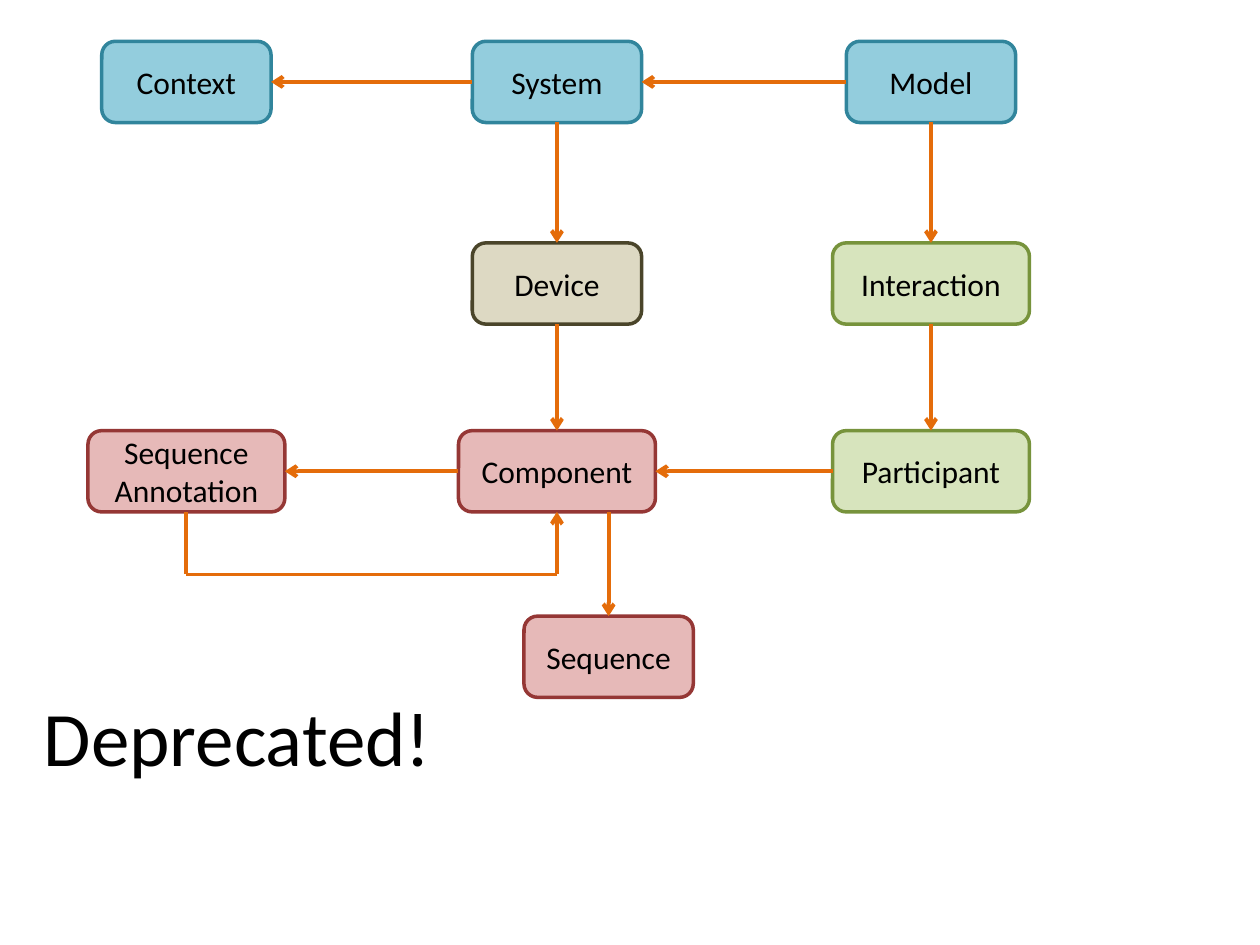
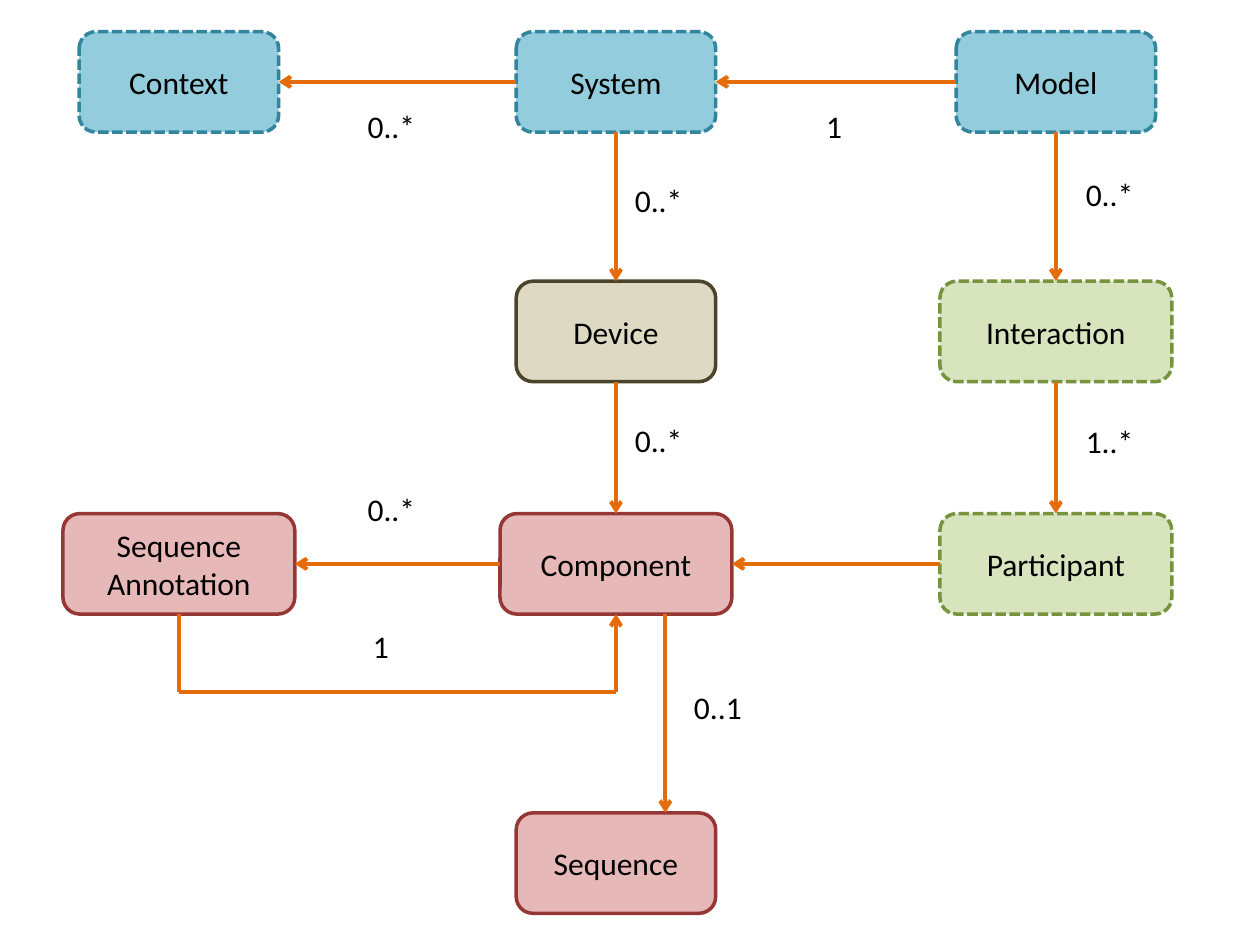
from lxml.etree import SubElement
from pptx import Presentation
from pptx.dml.color import RGBColor
from pptx.enum.dml import MSO_LINE_DASH_STYLE as Dash
from pptx.enum.shapes import MSO_CONNECTOR as Connector, MSO_SHAPE as Shape
from pptx.enum.text import MSO_ANCHOR as Anchor, PP_ALIGN as Align
from pptx.oxml.ns import qn
from pptx.util import Pt

COLORS = {
    "text": "000000", "arrow": "E46C0A",
    "blue": "93CDDD", "blue_edge": "31859C",
    "tan": "DDD9C3", "tan_edge": "4A452A",
    "green": "D7E4BD", "green_edge": "77933C",
    "red": "E6B9B8", "red_edge": "953735",
}

CLASSES = {
    "Context": (0, 0, "blue", "narrow"),
    "System": (1, 0, "blue", "narrow"),
    "Model": (2, 0, "blue", "narrow"),
    "Device": (1, 1, "tan", "narrow"),
    "Interaction": (2, 1, "green", "wide"),
    "Sequence Annotation": (0, 2, "red", "wide"),
    "Component": (1, 2, "red", "wide"),
    "Participant": (2, 2, "green", "wide"),
}

TOP, LEFT, BOTTOM, RIGHT = range(4)
LEFTWARD = (LEFT, RIGHT)
DOWNWARD = (BOTTOM, TOP)

RELATIONS = [
    ("System", "Context", LEFTWARD),
    ("Model", "System", LEFTWARD),
    ("System", "Device", DOWNWARD),
    ("Device", "Component", DOWNWARD),
    ("Model", "Interaction", DOWNWARD),
    ("Interaction", "Participant", DOWNWARD),
    ("Participant", "Component", LEFTWARD),
    ("Component", "Sequence Annotation", LEFTWARD),
]

FIRST_LAYOUT = {
    "columns": (106.5, 318.25, 532), "rows": (46.8, 162, 269.3),
    "narrow": 96.75, "wide": 112.5, "height": 46.4,
    "sequence": (347.8, 375.3), "drop": 347.8, "loop": 328.3, "dashed": (),
}
SECOND_LAYOUT = {
    "columns": (102.25, 352, 603.4), "rows": (46.8, 189.4, 322.2),
    "narrow": 114, "wide": 132.5, "height": 57.4,
    "sequence": (352, 493.2), "drop": 380.2, "loop": 395.3,
    "dashed": ("blue", "green"),
}

MULTIPLICITIES = [
    ("0..*", 203, 57.6), ("1", 465, 57.6),
    ("0..*", 355.7, 100), ("0..*", 613.4, 96.5),
    ("0..*", 355.7, 236.9), ("1..*", 613.4, 237.6),
    ("0..*", 203, 276.5), ("1", 206, 355), ("0..1", 389.5, 389.5),
]


def color(name):
    return RGBColor.from_string(COLORS[name])


def write(frame, text, size=18, align=Align.LEFT):
    para = frame.paragraphs[0]
    para.alignment = align
    span = para.add_run()
    span.text = text
    for key, value in {"name": "Calibri", "size": Pt(size)}.items():
        setattr(span.font, key, value)
    span.font.color.rgb = color("text")


def add_class(page, layout, name, center, tint, width):
    wide, high = layout[width], layout["height"]
    box = page.shapes.add_shape(
        Shape.ROUNDED_RECTANGLE,
        Pt(center[0] - wide / 2), Pt(center[1] - high / 2), Pt(wide), Pt(high))
    box.shadow.inherit = False
    box.fill.solid()
    box.fill.fore_color.rgb = color(tint)
    box.line.color.rgb = color(tint + "_edge")
    box.line.width = Pt(2)
    if tint in layout["dashed"]:
        box.line.dash_style = Dash.SQUARE_DOT
    frame = box.text_frame
    for key, value in {"word_wrap": True, "vertical_anchor": Anchor.MIDDLE}.items():
        setattr(frame, key, value)
    write(frame, name, align=Align.CENTER)
    return box


def add_line(page, start=(0, 0), end=(0, 0), arrow=True):
    line = page.shapes.add_connector(
        Connector.STRAIGHT, *[Pt(value) for value in (*start, *end)])
    line.line.color.rgb = color("arrow")
    line.line.width = Pt(2.25)
    if arrow:
        SubElement(line.line._get_or_add_ln(), qn("a:tailEnd"), type="arrow")
    SubElement(line._element.spPr, qn("a:effectLst"))
    return line


def add_relation(page, source, target, sites):
    line = add_line(page)
    line.begin_connect(source, sites[0])
    line.end_connect(target, sites[1])


def add_label(page, text, left, top, width=50, height=36, size=18):
    box = page.shapes.add_textbox(Pt(left), Pt(top), Pt(width), Pt(height))
    box.text_frame.word_wrap = False
    write(box.text_frame, text, size)


def add_diagram(page, layout):
    columns, rows = layout["columns"], layout["rows"]
    boxes = {
        name: add_class(page, layout, name, (columns[column], rows[row]), tint, width)
        for name, (column, row, tint, width) in CLASSES.items()
    }
    add_class(page, layout, "Sequence", layout["sequence"], "red", "narrow")
    for source, target, sites in RELATIONS:
        add_relation(page, boxes[source], boxes[target], sites)

    half = layout["height"] / 2
    base = rows[2] + half
    corners = [(columns[0], base), (columns[0], layout["loop"]),
               (columns[1], layout["loop"]), (columns[1], base)]
    for index, (start, end) in enumerate(zip(corners, corners[1:])):
        add_line(page, start, end, arrow=index == 2)
    add_line(page, (layout["drop"], base),
             (layout["drop"], layout["sequence"][1] - half))


def main():
    deck = Presentation()
    deck.slide_width, deck.slide_height = Pt(720), Pt(540)
    pages = []
    for layout in (FIRST_LAYOUT, SECOND_LAYOUT):
        page = deck.slides.add_slide(deck.slide_layouts[6])
        add_diagram(page, layout)
        pages.append(page)
    add_label(pages[0], "Deprecated!", 18, 390.25, 238.5, 60.5, size=44)
    for text, left, top in MULTIPLICITIES:
        add_label(pages[1], text, left, top, width=28 if text == "1" else 50)
    deck.save("out.pptx")


if __name__ == "__main__":
    main()
